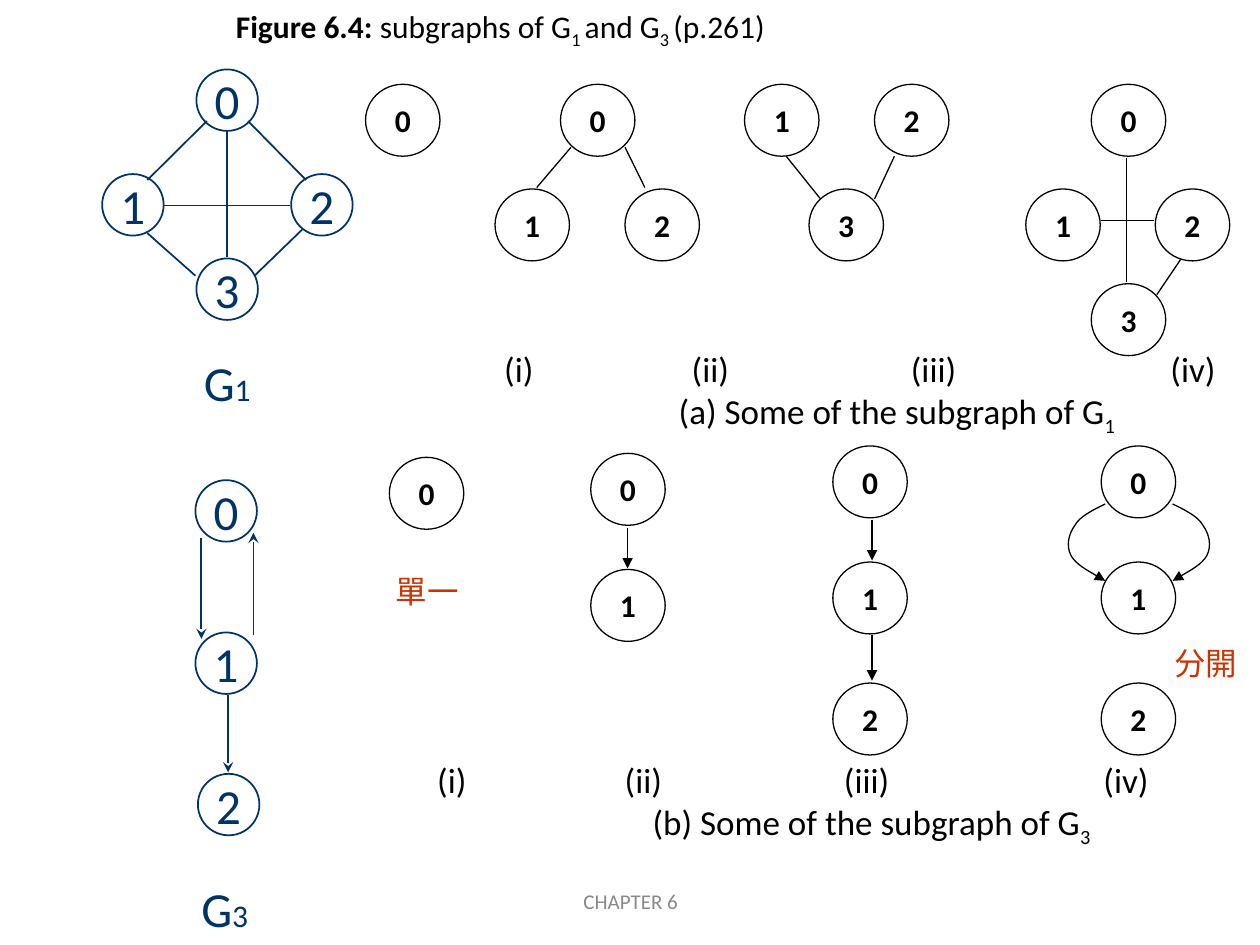
from lxml import etree
from pptx import Presentation
from pptx.dml.color import RGBColor
from pptx.enum.shapes import MSO_CONNECTOR, MSO_SHAPE
from pptx.enum.text import MSO_ANCHOR, PP_ALIGN
from pptx.oxml.ns import qn
from pptx.util import Cm, Pt

LEFT, CENTER = PP_ALIGN.LEFT, PP_ALIGN.CENTER
TOP, MIDDLE = MSO_ANCHOR.TOP, MSO_ANCHOR.MIDDLE
STRAIGHT, OVAL = MSO_CONNECTOR.STRAIGHT, MSO_SHAPE.OVAL
BLACK, NAVY, RED, GRAY, WHITE = "000000", "003366", "CC3300", "898989", "FFFFFF"
SUBSCRIPT = {"baseline": "-25000"}


def color(value):
    return RGBColor.from_string(value)


class GraphSlide:
    font_name = "Calibri"

    def __init__(self, slide):
        self.slide = slide
        self.shapes = slide.shapes

    def set_text(self, paragraph, runs, size, ink, align=CENTER, bold=False, tabs=()):
        """Fill a paragraph; runs are (text, run attributes) pairs, tabs are centred stops."""
        paragraph.alignment = align
        if tabs:
            tab_list = etree.SubElement(paragraph._p.get_or_add_pPr(), qn("a:tabLst"))
            for position in tabs:
                etree.SubElement(tab_list, qn("a:tab"), pos=str(Cm(position)), algn="ctr")
        font = paragraph.font
        font.name, font.size, font.bold = self.font_name, Pt(size), bold
        font.color.rgb = color(ink)
        for text, attributes in runs:
            run = paragraph.add_run()
            run.text = text
            for name, value in attributes.items():
                run._r.get_or_add_rPr().set(name, value)

    def title(self, runs, left, top, width, height):
        title = self.shapes.title
        title.left, title.top, title.width, title.height = map(Cm, (left, top, width, height))
        title.text_frame.vertical_anchor = MIDDLE
        self.set_text(title.text_frame.paragraphs[0], runs, 18, BLACK, LEFT)

    def text_box(self, left, top, width, height, anchor=MIDDLE):
        frame = self.shapes.add_textbox(*map(Cm, (left, top, width, height))).text_frame
        frame.word_wrap = True
        frame.vertical_anchor = anchor
        return frame

    def label(self, text, left, top, width, height, size, ink):
        frame = self.text_box(left, top, width, height)
        self.set_text(frame.paragraphs[0], [(text, {})], size, ink)

    def graph_name(self, number, left, top):
        frame = self.text_box(left, top, 1.45, 1.45, TOP)
        frame.word_wrap = False
        self.set_text(frame.paragraphs[0], [("G", {}), (number, {"sz": "1800"})], 28, NAVY, LEFT)

    def caption(self, letter, number, left, top, center, anchor):
        """Number the four subgraphs and name their row below."""
        frame = self.text_box(left, top, 15, 2.08, anchor)
        self.set_text(frame.paragraphs[0], [("\t(i)\t(ii)\t(iii)\t(iv)", {})], 20, BLACK,
                      LEFT, tabs=(0.43, 4.29, 8.79, 14.02))
        runs = [(f"\t({letter}) Some of the subgraph of G", {}), (number, SUBSCRIPT)]
        self.set_text(frame.add_paragraph(), runs, 20, BLACK, LEFT, tabs=(center,))

    def node(self, text, left, top, main=False):
        """Draw a vertex; the main graphs have larger digits and navy outlines."""
        width, height = (1.24, 1.24) if main else (1.5, 1.45)
        ink = NAVY if main else BLACK
        shape = self.shapes.add_shape(OVAL, *map(Cm, (left, top, width, height)))
        shape.shadow.inherit = False
        if main:
            shape.fill.solid()
            shape.fill.fore_color.rgb = color(WHITE)
        else:
            shape.fill.background()
        self.outline(shape, main)
        frame = shape.text_frame
        frame.word_wrap = False
        frame.vertical_anchor = MIDDLE
        self.set_text(frame.paragraphs[0], [(text, {})], 28 if main else 18, ink, bold=not main)

    def outline(self, shape, main, arrow=None):
        shape.line.color.rgb = color(NAVY if main else BLACK)
        shape.line.width = Pt(1 if main else 0.75)
        if arrow:
            line = shape._element.spPr.get_or_add_ln()
            etree.SubElement(line, qn("a:tailEnd"), type=arrow)

    def edge(self, x1, y1, x2, y2, main=False, arrow=None):
        connector = self.shapes.add_connector(STRAIGHT, *map(Cm, (x1, y1, x2, y2)))
        self.outline(connector, main, arrow)
        etree.SubElement(connector._element.spPr, qn("a:effectLst"))

    def curved_arrow(self, points):
        """Draw cubic curves: a start point, then three points for each curve."""
        start, *others = [(Cm(x), Cm(y)) for x, y in points]
        builder = self.shapes.build_freeform(*start)
        builder.add_line_segments(others, close=False)
        shape = builder.convert_to_shape()
        segments = list(shape._element.iter(qn("a:lnTo")))
        for first in range(0, len(segments), 3):
            curve = etree.Element(qn("a:cubicBezTo"))
            segments[first].addprevious(curve)
            for segment in segments[first:first + 3]:
                curve.append(segment[0])
                segment.getparent().remove(segment)
        shape.shadow.inherit = False
        shape.fill.background()
        self.outline(shape, False, "triangle")


G1_NODES = [("0", 3.96, 1.4), ("1", 2.06, 3.51), ("2", 5.87, 3.51), ("3", 3.96, 5.21)]
G1_EDGES = [
    (4.58, 2.64, 4.58, 5.18), (3.3, 4.14, 5.84, 4.14), (4.17, 2.44, 2.97, 3.63),
    (5, 2.44, 6.17, 3.63), (2.97, 4.7, 3.94, 5.56), (6.1, 4.62, 5.13, 5.56),
]
G3_NODES = [("0", 3.94, 9.68), ("1", 3.94, 12.75), ("2", 3.99, 15.6)]
G3_EDGES = [(4.6, 14.02, 4.6, 15.57), (5.11, 12.8, 5.11, 10.74), (4.06, 10.85, 4.06, 12.88)]
G1_SUBGRAPH_NODES = [
    ("0", 7.37, 1.7),
    ("0", 11.3, 1.7), ("1", 9.98, 3.81), ("2", 12.6, 3.81),
    ("1", 15.01, 1.7), ("2", 17.63, 1.7), ("3", 16.31, 3.81),
    ("0", 22, 1.7), ("1", 20.68, 3.81), ("2", 23.29, 3.81), ("3", 22, 5.72),
]
G1_SUBGRAPH_EDGES = [
    (11.51, 2.97, 10.82, 3.78), (12.6, 2.97, 13, 3.78),
    (16.54, 4.01, 15.85, 3.15), (17.63, 4.01, 18.03, 3.15),
    (22.2, 4.45, 23.27, 4.45), (22.71, 3.18, 22.71, 5.69), (23.8, 5.23, 23.32, 5.94),
]
G3_SUBGRAPH_NODES = [("0", 7.85, 9.22), ("0", 11.91, 9.14), ("1", 11.91, 11.48)] + [
    (text, left, top)
    for left in (16.79, 22.2)
    for text, top in (("0", 8.99), ("1", 11.33), ("2", 13.77))
]
G3_SUBGRAPH_EDGES = [
    (12.65, 10.64, 12.65, 11.46), (17.58, 10.49, 17.58, 11.3), (17.58, 12.8, 17.58, 13.72),
]
LEFT_CURVE = [
    (22.28, 10.16), (22.02, 10.29), (21.77, 10.41), (21.67, 10.59), (21.54, 10.77),
    (21.49, 11), (21.59, 11.2), (21.69, 11.38), (22.15, 11.63), (22.28, 11.71),
]
CURVE_AXIS = 22.96


def main():
    presentation = Presentation()
    presentation.slide_width, presentation.slide_height = Cm(25.4), Cm(19.05)
    graphs = GraphSlide(presentation.slides.add_slide(presentation.slide_layouts[5]))

    graphs.title([
        ("Figure 6.4:", {"b": "1"}), (" subgraphs of G", {}), ("1 ", SUBSCRIPT),
        ("and G", {}), ("3 ", SUBSCRIPT), ("(p.261)", {}),
    ], 4.5, 0, 20.5, 1.14)

    for nodes, is_main in ((G1_SUBGRAPH_NODES, False), (G3_SUBGRAPH_NODES, False),
                           (G1_NODES, True), (G3_NODES, True)):
        for node in nodes:
            graphs.node(*node, main=is_main)
    for edges, is_main, arrow in ((G1_SUBGRAPH_EDGES, False, None),
                                  (G3_SUBGRAPH_EDGES, False, "triangle"),
                                  (G1_EDGES, True, None), (G3_EDGES, True, "stealth")):
        for edge in edges:
            graphs.edge(*edge, main=is_main, arrow=arrow)
    graphs.curved_arrow(LEFT_CURVE)
    graphs.curved_arrow([(2 * CURVE_AXIS - x, y) for x, y in LEFT_CURVE])

    graphs.graph_name("1", 3.86, 6.99)
    graphs.graph_name("3", 3.81, 17.58)
    graphs.caption("a", "1", 9.78, 6.88, 8.05, TOP)
    graphs.caption("b", "3", 8.43, 15.16, 8.89, MIDDLE)
    graphs.label("單一", 7.72, 11.4, 1.78, 1.02, 18, RED)
    graphs.label("分開", 23.42, 12.85, 1.78, 1.02, 18, RED)
    graphs.label("CHAPTER 6", 8.69, 17.65, 8.05, 1.02, 12, GRAY)
    presentation.save("out.pptx")


if __name__ == "__main__":
    main()
